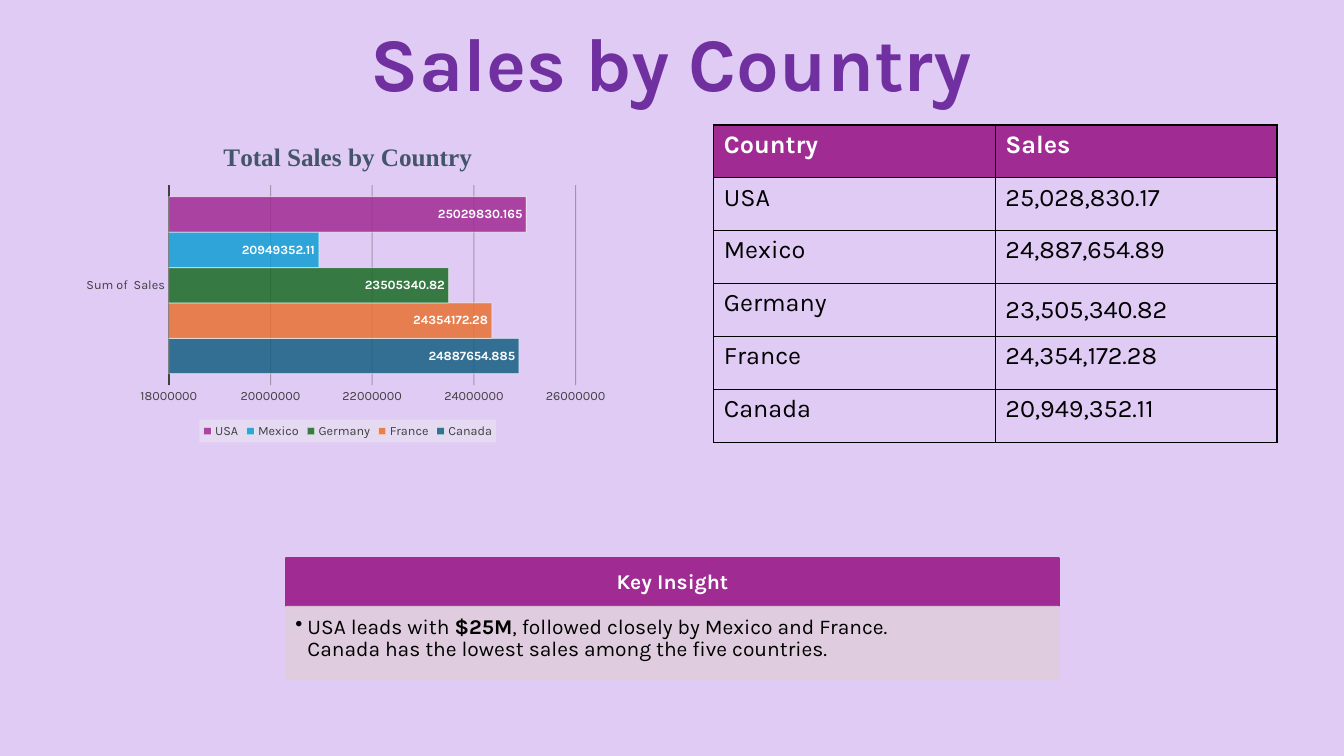
from dataclasses import dataclass
from typing import Any, Optional

from lxml.etree import SubElement
from pptx import Presentation
from pptx.chart.data import CategoryChartData
from pptx.dml.color import RGBColor
from pptx.enum.chart import XL_CHART_TYPE, XL_LABEL_POSITION, XL_LEGEND_POSITION, XL_TICK_MARK
from pptx.enum.shapes import MSO_SHAPE
from pptx.enum.text import MSO_ANCHOR, PP_ALIGN
from pptx.oxml import parse_xml
from pptx.oxml.ns import nsdecls, qn
from pptx.util import Inches, Pt

WIDE, HIGH = Inches(13.33), Inches(7.5)


@dataclass(frozen=True)
class Theme:
    face: str = "Karla"
    serif: str = "Times New Roman"
    page: str = "E0CBF5"
    head: str = "7030A0"
    plum: str = "A02B93"
    blush: str = "DFCDDC"
    slate: str = "44546A"
    grey: str = "404040"
    grid: str = "595959"
    edge: str = "BFBFBF"
    mist: str = "F2F2F2"
    white: str = "FFFFFF"
    black: str = "000000"
    huge: float = 54
    large: float = 18
    body: float = 15
    small: float = 9


@dataclass(frozen=True)
class Box:
    left: float
    top: float
    width: float
    height: float

    def place(self) -> tuple[int, int, int, int]:
        return (int(WIDE * self.left / 100), int(HIGH * self.top / 100),
                int(WIDE * self.width / 100), int(HIGH * self.height / 100))


@dataclass(frozen=True)
class Bar:
    name: str
    value: float
    tint: str


@dataclass(frozen=True)
class Card:
    box: Box
    fill: str
    alpha: int
    pads: tuple[float, float, float, float]


LOOK = Theme()
TITLE = Box(22.43, 2.27, 55.06, 12.67)
CHART = Box(5.7, 16.53, 40.36, 42)
TABLE = Box(53.11, 16.53, 41.9, 42)
HEAD = Card(Box(21.3, 73.87, 57.46, 6.3), LOOK.plum, 100, (0.12, 0.07, 0.12, 0.07))
NOTE = Card(Box(21.3, 80.27, 57.46, 9.6), LOOK.blush, 90, (0.09, 0.09, 0.12, 0.13))
BARS = [
    Bar("Canada", 24887654.885, "156082"),
    Bar("France", 24354172.28, "E97132"),
    Bar("Germany", 23505340.82, "196B24"),
    Bar("Mexico", 20949352.11, "0F9ED5"),
    Bar("USA", 25029830.165, LOOK.plum),
]
ROWS = [
    ("Country", "Sales"),
    ("USA", "25,028,830.17"),
    ("Mexico", "24,887,654.89"),
    ("Germany", "23,505,340.82"),
    ("France", "24,354,172.28"),
    ("Canada", "20,949,352.11"),
]
MIDDLE = {(3, 1)}
PLOT = {"x": 0.17, "y": 0.19, "w": 0.75, "h": 0.63}


def style(font: Any, size: float, tint: str, bold: Optional[bool] = False,
          face: str = LOOK.face) -> None:
    font.name, font.size, font.bold = face, Pt(size), bold
    font.color.rgb = RGBColor.from_string(tint)


def paint(fill: Any, tint: str) -> None:
    fill.solid()
    fill.fore_color.rgb = RGBColor.from_string(tint)


def rule(line: Any, tint: str, width: float) -> None:
    paint(line.fill, tint)
    line.width = Pt(width)


def fade(node: Any, *shares: int) -> None:
    for tint, share in zip(node.iter(qn("a:srgbClr")), shares):
        SubElement(tint, qn("a:alpha")).set("val", str(share * 1000))


def skin(fill: str, line: str = "") -> Any:
    edge = f'<a:ln w="9525"><a:solidFill><a:srgbClr val="{line}"/></a:solidFill></a:ln>' if line else ""
    return parse_xml(f'<c:spPr {nsdecls("c", "a")}><a:solidFill><a:srgbClr val="{fill}"/>'
                     f'</a:solidFill>{edge}</c:spPr>')


def add_title(slide: Any) -> None:
    title = slide.shapes.title
    title.left, title.top, title.width, title.height = TITLE.place()
    frame = title.text_frame
    frame.text = "Sales by Country"
    frame.vertical_anchor = MSO_ANCHOR.BOTTOM
    line = frame.paragraphs[0]
    line.alignment, line.line_spacing = PP_ALIGN.CENTER, 0.9
    style(line.font, LOOK.huge, LOOK.head, True)


def add_bars(slide: Any) -> None:
    data = CategoryChartData()
    data.categories = ["Sum of  Sales"]
    for bar in BARS:
        data.add_series(bar.name, [bar.value])
    chart = slide.shapes.add_chart(XL_CHART_TYPE.BAR_CLUSTERED, *CHART.place(), data).chart
    style(chart.font, 10, LOOK.black)
    chart.font._element.getparent().getparent().addprevious(skin(LOOK.white, LOOK.edge))

    chart.has_title = True
    chart.chart_title.include_in_layout = False
    frame = chart.chart_title.text_frame
    frame.text = "Total Sales by Country"
    style(frame.paragraphs[0].font, LOOK.large, LOOK.slate, True, LOOK.serif)

    chart.has_legend = True
    legend = chart.legend
    legend.position, legend.include_in_layout = XL_LEGEND_POSITION.BOTTOM, False
    style(legend.font, LOOK.small, LOOK.grey)
    back = skin(LOOK.mist)
    fade(back, 39)
    legend._element.find(qn("c:txPr")).addprevious(back)

    names, scale = chart.category_axis, chart.value_axis
    for axis in (names, scale):
        axis.major_tick_mark = axis.minor_tick_mark = XL_TICK_MARK.NONE
        style(axis.tick_labels.font, LOOK.small, LOOK.grey)
    rule(names.format.line, LOOK.grey, 1.5)
    scale.format.line.fill.background()
    scale.minimum_scale, scale.maximum_scale, scale.major_unit = 18e6, 26e6, 2e6
    scale.has_major_gridlines = True
    rule(scale.major_gridlines.format.line, LOOK.grid, 0.75)
    fade(scale._element.find(qn("c:majorGridlines")), 48)

    plot = chart.plots[0]
    plot.gap_width, plot.overlap, plot.vary_by_categories = 65, 0, False
    for bar, row in zip(BARS, plot.series):
        row.invert_if_negative = False
        paint(row.format.fill, bar.tint)
        rule(row.format.line, LOOK.white, 0.75)
        fade(row._element.find(qn("c:spPr")), 85, 50)
        tags = row.data_labels
        tags.show_value, tags.position = True, XL_LABEL_POSITION.INSIDE_END
        style(tags.font, LOOK.small, LOOK.white, True)

    area = chart._chartSpace.chart.plotArea
    for old in area.findall(qn("c:layout")):
        area.remove(old)
    modes = '<c:layoutTarget val="inner"/><c:xMode val="edge"/><c:yMode val="edge"/>'
    sides = "".join(f'<c:{key} val="{share}"/>' for key, share in PLOT.items())
    area.insert(0, parse_xml(f'<c:layout {nsdecls("c")}><c:manualLayout>{modes}{sides}'
                             '</c:manualLayout></c:layout>'))


def frame_cell(cell: Any) -> None:
    props = cell._tc.get_or_add_tcPr()
    for spot, side in enumerate(("lnL", "lnR", "lnT", "lnB")):
        props.insert(spot, parse_xml(
            f'<a:{side} {nsdecls("a")} w="12700"><a:solidFill><a:srgbClr val="{LOOK.black}"/>'
            f'</a:solidFill></a:{side}>'))


def add_grid(slide: Any) -> None:
    table = slide.shapes.add_table(len(ROWS), len(ROWS[0]), *TABLE.place()).table
    table.horz_banding = False
    for r, row in enumerate(ROWS):
        for c, text in enumerate(row):
            cell = table.cell(r, c)
            cell.text = text
            if (r, c) in MIDDLE:
                cell.vertical_anchor = MSO_ANCHOR.MIDDLE
            if r:
                cell.fill.background()
            else:
                paint(cell.fill, LOOK.plum)
            style(cell.text_frame.paragraphs[0].font, LOOK.large,
                  LOOK.black if r else LOOK.white, not r)
            frame_cell(cell)


def add_card(slide: Any, card: Card) -> Any:
    shape = slide.shapes.add_shape(MSO_SHAPE.RECTANGLE, *card.box.place())
    shape.shadow.inherit = False
    paint(shape.fill, card.fill)
    rule(shape.line, card.fill, 1.5)
    fade(shape._element.spPr, card.alpha, card.alpha)
    frame = shape.text_frame
    frame.word_wrap = True
    (frame.margin_left, frame.margin_top,
     frame.margin_right, frame.margin_bottom) = map(Inches, card.pads)
    frame.paragraphs[0].line_spacing = 0.9
    return frame


def add_note(slide: Any) -> None:
    frame = add_card(slide, HEAD)
    frame.vertical_anchor = MSO_ANCHOR.MIDDLE
    line = frame.paragraphs[0]
    line.text, line.alignment = "Key Insight", PP_ALIGN.CENTER
    style(line.font, LOOK.body, LOOK.white, True)

    frame = add_card(slide, NOTE)
    frame.vertical_anchor = MSO_ANCHOR.TOP
    line = frame.paragraphs[0]
    line.alignment = PP_ALIGN.LEFT
    props = line._p.get_or_add_pPr()
    props.set("marL", str(Inches(0.12)))
    props.set("indent", str(-Inches(0.12)))
    SubElement(props, qn("a:buChar")).set("char", "•")
    style(line.font, LOOK.body, LOOK.black, None)
    line.add_run().text = "USA leads with "
    total = line.add_run()
    total.text, total.font.bold = "$25M", True
    line.add_run().text = ", followed closely by Mexico and France."
    line.add_line_break()
    line.add_run().text = "Canada has the lowest sales among the five countries."


def main() -> None:
    deck = Presentation()
    deck.slide_width, deck.slide_height = WIDE, HIGH
    slide = deck.slides.add_slide(deck.slide_layouts[5])
    paint(slide.background.fill, LOOK.page)
    for draw in (add_title, add_grid, add_bars, add_note):
        draw(slide)
    deck.save("out.pptx")


if __name__ == "__main__":
    main()
